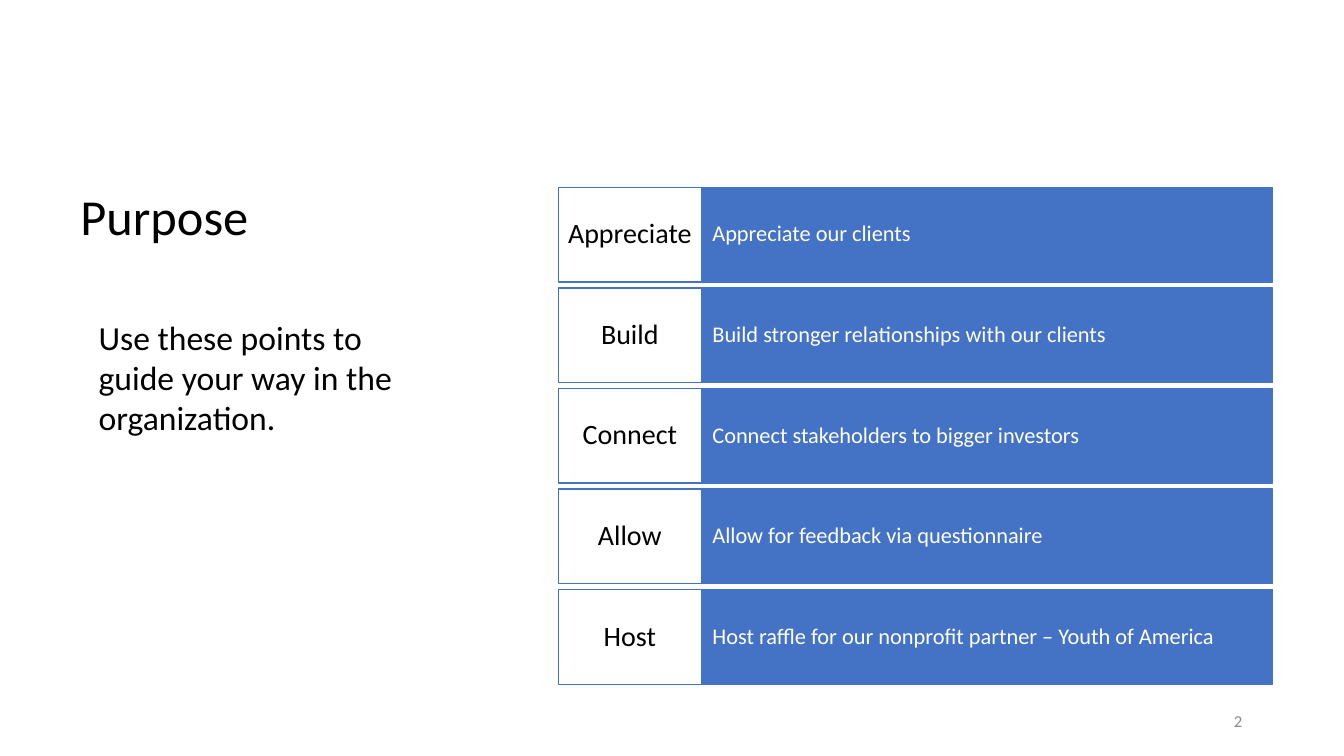
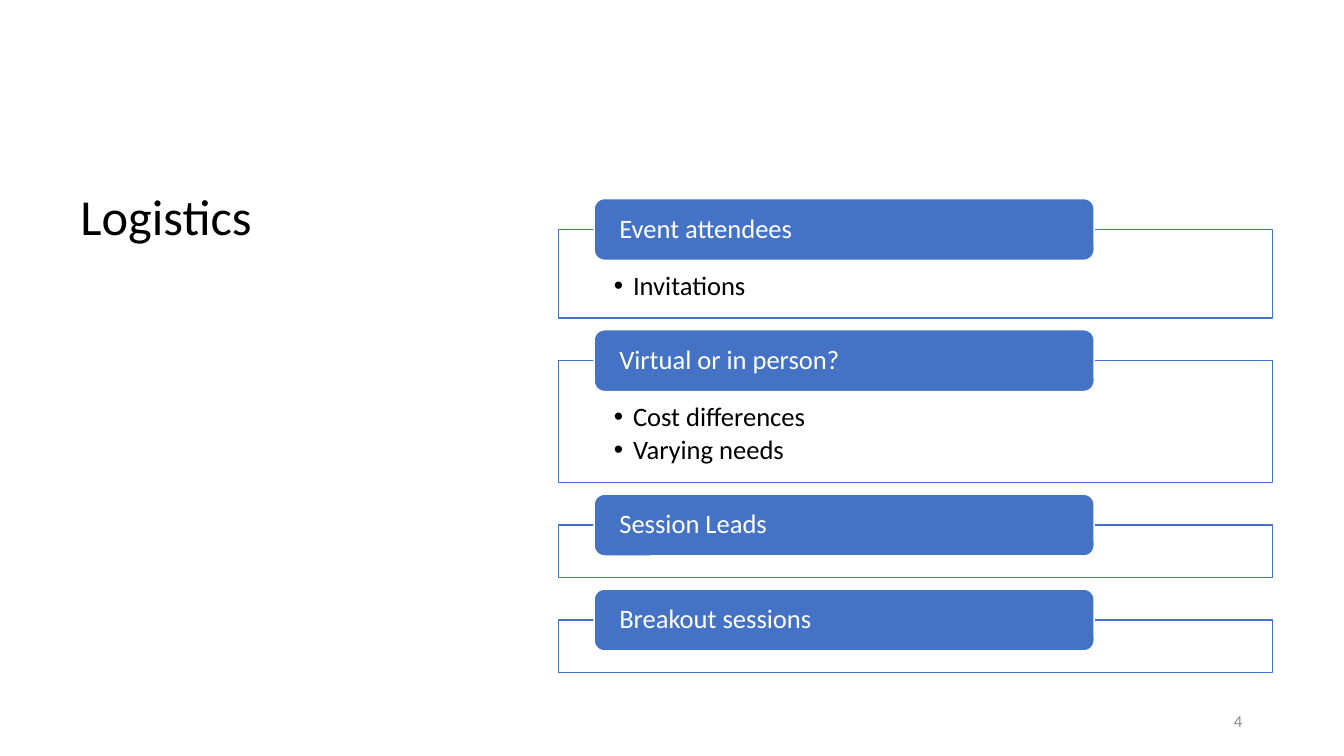
from dataclasses import dataclass

from lxml.etree import SubElement
from pptx import Presentation
from pptx.dml.color import RGBColor
from pptx.enum.shapes import MSO_SHAPE as Shape
from pptx.enum.text import MSO_ANCHOR as Anchor, PP_ALIGN as Align
from pptx.oxml.ns import qn
from pptx.util import Inches, Pt

# Shared look
BLUE = RGBColor(0x44, 0x72, 0xC4)
WHITE = RGBColor(0xFF, 0xFF, 0xFF)
BLACK = RGBColor(0x00, 0x00, 0x00)
GRAY = RGBColor(0x8C, 0x8C, 0x8C)
FONT = "Calibri"
BULLET_INDENT = Inches(0.19)


@dataclass
class Box:
    left: float
    top: float
    width: float
    height: float

    def inner(self, left, top, width, height):
        """Return an inner box, given in percent of this one."""
        return Box(self.left + self.width * left / 100,
                   self.top + self.height * top / 100,
                   self.width * width / 100, self.height * height / 100)

    def emu(self):
        return [Inches(n) for n in (self.left, self.top, self.width, self.height)]


SLIDE = Box(0, 0, 13.33, 7.5)
TITLE = SLIDE.inner(5.25, 24.8, 32.5, 57.7)
NOTE = SLIDE.inner(6.6, 41.2, 26, 17.5)
NUMBER = SLIDE.inner(70.67, 92.67, 22.5, 5.33)
TABLE_AREA = SLIDE.inner(41.55, 24.8, 53.15, 65.73)
LIST_AREA = SLIDE.inner(41.55, 26.27, 53.15, 62.8)

# Percent of the list's height
BADGE_HEIGHT = 13
PANEL_GAP = 8.95
PANEL_HEIGHTS = {0: 11.04, 1: 18.68, 2: 25.69}  # by number of bullets

PURPOSES = [
    ("Appreciate", "Appreciate our clients"),
    ("Build", "Build stronger relationships with our clients"),
    ("Connect", "Connect stakeholders to bigger investors"),
    ("Allow", "Allow for feedback via questionnaire"),
    ("Host", "Host raffle for our nonprofit partner – Youth of America"),
]
LOGISTICS = [
    ("Event attendees", ["Invitations"]),
    ("Virtual or in person?", ["Cost differences", "Varying needs"]),
    ("Session Leads", []),
    ("Breakout sessions", []),
]


def add_bullet(paragraph):
    properties = paragraph._p.get_or_add_pPr()
    properties.set("marL", str(BULLET_INDENT))
    properties.set("indent", str(-BULLET_INDENT))
    SubElement(properties, qn("a:buFont")).set("typeface", "Arial")
    SubElement(properties, qn("a:buChar")).set("char", "•")


def write(shape, lines, size, color=BLACK, align=Align.LEFT, anchor=Anchor.TOP,
          insets=(0.1, 0.05), spacing=0.9, bullets=False):
    """Fill a shape with paragraphs; insets are (sides, top[, bottom])."""
    frame = shape.text_frame
    frame.word_wrap = True
    frame.vertical_anchor = anchor
    frame.margin_left = frame.margin_right = Inches(insets[0])
    frame.margin_top, frame.margin_bottom = Inches(insets[1]), Inches(insets[-1])
    for index, line in enumerate(lines):
        paragraph = frame.add_paragraph() if index else frame.paragraphs[0]
        paragraph.alignment = align
        paragraph.line_spacing = spacing
        if bullets:
            paragraph.space_after = Pt(size * 0.15)
            add_bullet(paragraph)
        run = paragraph.add_run()
        run.text = line
        run.font.name, run.font.size = FONT, Pt(size)
        run.font.color.rgb = color


def add_text(slide, box, text, size, **style):
    write(slide.shapes.add_textbox(*box.emu()), [text], size, **style)


def add_block(slide, box, fill, line, kind=Shape.RECTANGLE):
    shape = slide.shapes.add_shape(kind, *box.emu())
    shape.shadow.inherit = False
    shape.fill.solid()
    shape.fill.fore_color.rgb = fill
    shape.line.color.rgb = line
    shape.line.width = Pt(1)
    return shape


def add_base(presentation, title, number):
    """Start a slide with its title and page number."""
    slide = presentation.slides.add_slide(presentation.slide_layouts[6])
    add_text(slide, TITLE, title, 36)
    add_text(slide, NUMBER, number, 12, color=GRAY, align=Align.RIGHT,
             anchor=Anchor.MIDDLE, spacing=1.0)
    return slide


def add_label_rows(slide, box, rows, gap=1.2):
    """Equal rows: a white label beside a blue description."""
    height = (100 - gap * (len(rows) - 1)) / len(rows)
    for index, (label, description) in enumerate(rows):
        row = box.inner(0, index * (height + gap), 100, height)
        body = add_block(slide, row.inner(20, 0, 80, 100), BLUE, BLUE)
        write(body, [description], 16, color=WHITE, anchor=Anchor.MIDDLE,
              insets=(0.11, 0.24))
        head = add_block(slide, row.inner(0, 0, 20, 100), WHITE, BLUE)
        write(head, [label], 20, align=Align.CENTER, anchor=Anchor.MIDDLE,
              insets=(0.07, 0.09))


def add_badge_list(slide, box, items):
    """Stacked outlined panels, each with a badge across its top edge."""
    top = BADGE_HEIGHT / 2
    for heading, bullets in items:
        height = PANEL_HEIGHTS[len(bullets)]
        panel = add_block(slide, box.inner(0, top, 100, height), WHITE, BLUE)
        write(panel, bullets, 19, insets=(0.55, 0.43, 0.15), bullets=True)
        badge = add_block(slide, box.inner(5, top - BADGE_HEIGHT / 2, 70, BADGE_HEIGHT),
                          BLUE, WHITE, Shape.ROUNDED_RECTANGLE)
        write(badge, [heading], 19, color=WHITE, anchor=Anchor.MIDDLE,
              insets=(0.22, 0))
        top += height + PANEL_GAP


def main():
    presentation = Presentation()
    presentation.slide_width = Inches(SLIDE.width)
    presentation.slide_height = Inches(SLIDE.height)

    # Purpose
    slide = add_base(presentation, "Purpose", "2")
    add_label_rows(slide, TABLE_AREA, PURPOSES)
    add_text(slide, NOTE, "Use these points to guide your way in the organization.",
             24, spacing=1.0)

    # Logistics
    slide = add_base(presentation, "Logistics", "4")
    add_badge_list(slide, LIST_AREA, LOGISTICS)

    presentation.save("out.pptx")


if __name__ == "__main__":
    main()
